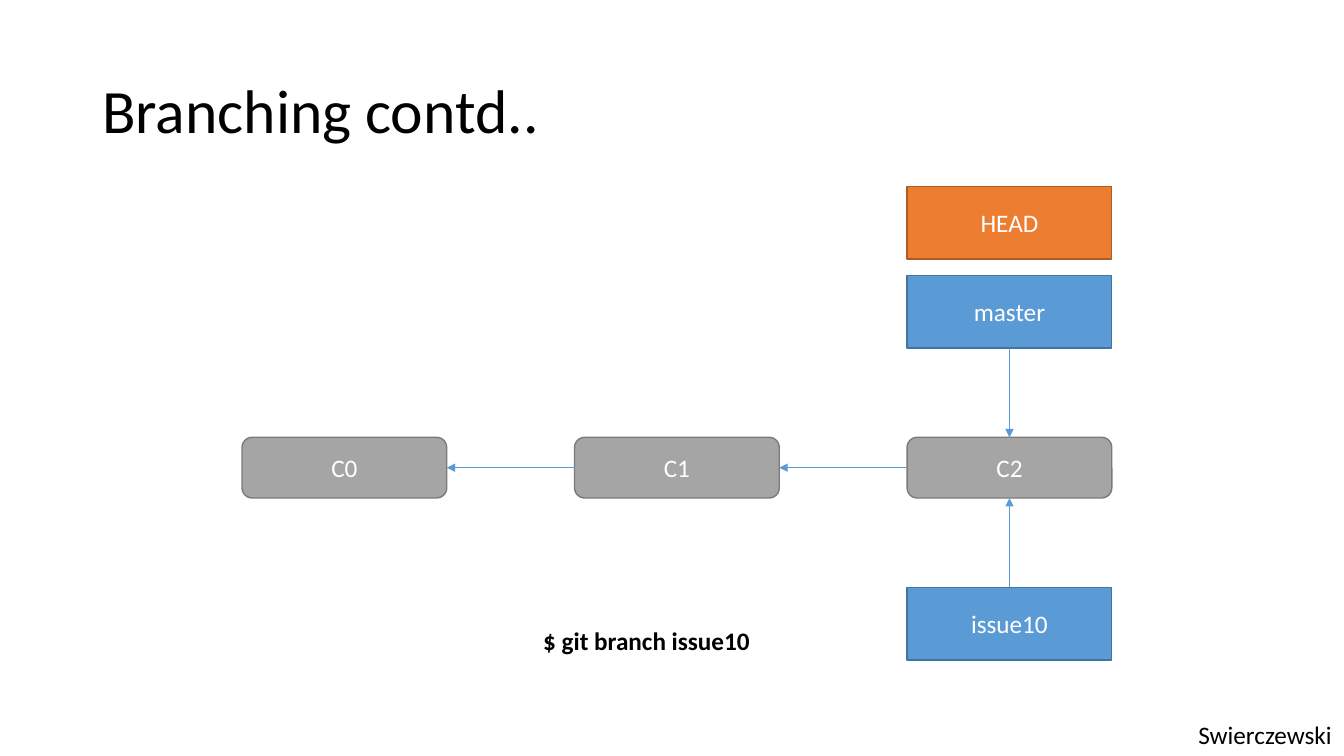
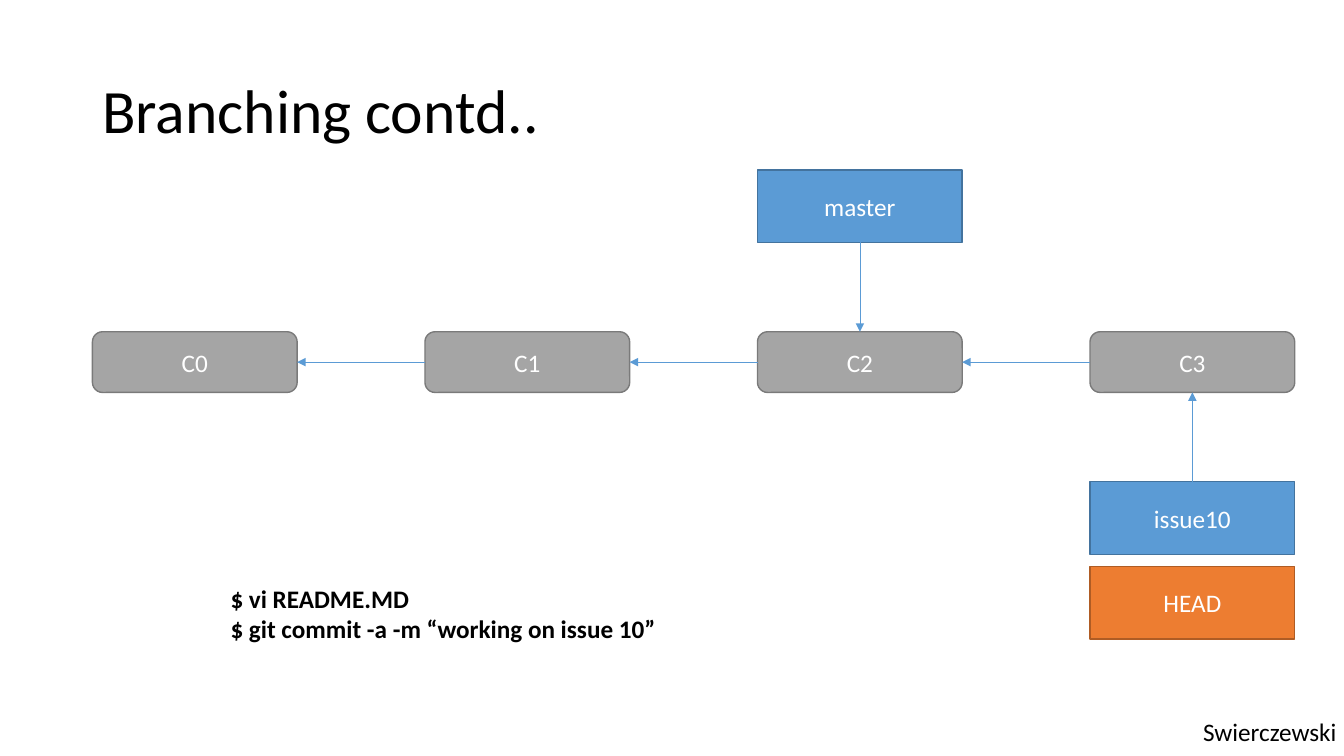
from dataclasses import dataclass

from lxml import etree
from pptx import Presentation
from pptx.dml.color import RGBColor
from pptx.enum.shapes import MSO_CONNECTOR, MSO_SHAPE
from pptx.enum.text import MSO_ANCHOR, MSO_AUTO_SIZE, PP_ALIGN
from pptx.oxml.ns import qn
from pptx.util import Cm, Pt

RECT, ROUND = MSO_SHAPE.RECTANGLE, MSO_SHAPE.ROUNDED_RECTANGLE
STRAIGHT = MSO_CONNECTOR.STRAIGHT
TOP, MIDDLE = MSO_ANCHOR.TOP, MSO_ANCHOR.MIDDLE
LEFT, CENTER = PP_ALIGN.LEFT, PP_ALIGN.CENTER
FIT, FIXED = MSO_AUTO_SIZE.SHAPE_TO_FIT_TEXT, MSO_AUTO_SIZE.NONE


@dataclass(frozen=True)
class Theme:
    font: str = "Calibri"
    title_size: int = 44
    body_size: int = 18
    dark: str = "000000"
    light: str = "FFFFFF"
    arrow: str = "5B9BD5"
    # Fill and outline of each kind of box
    commit: tuple = ("A5A5A5", "7A7A7A")
    branch: tuple = ("5B9BD5", "43739E")
    head: tuple = ("ED7D31", "AF5C24")


T = Theme()

# Diagram grid, in cm
BOX_W, COMMIT_H, REF_H = 5.16, 1.53, 1.83
PITCH = 8.38     # from one commit to the next
REF_GAP = 2.25   # between a branch box and its commit

SLIDES = [
    dict(commits=3, left=6.1, top=11.02, master=2, issue=2, head=(2, 4.7),
         commands=["$ git branch issue10"], commands_at=(13.44, 15.62, 5.77, 1.02),
         author_at=(29.95, 18.01)),
    dict(commits=4, left=2.33, top=8.36, master=2, issue=3, head=(3, 14.27),
         commands=["$ vi README.MD", "$ git commit -a -m “working on issue 10”"],
         commands_at=(5.56, 14.58, 11.33, 1.8), author_at=(30.07, 17.93)),
]


def write(shape, lines, color, size=T.body_size, bold=False, align=LEFT,
          anchor=TOP, wrap=True, auto_size=FIXED):
    tf = shape.text_frame
    tf.word_wrap, tf.auto_size, tf.vertical_anchor = wrap, auto_size, anchor
    tf.text = "\n".join(lines)
    for p in tf.paragraphs:
        p.alignment = align
        p.font.name, p.font.size, p.font.bold = T.font, Pt(size), bold
        p.font.color.rgb = RGBColor.from_string(color)
    return tf


prs = Presentation()
prs.slide_width, prs.slide_height = Cm(33.87), Cm(19.05)

for d in SLIDES:
    s = prs.slides.add_slide(prs.slide_layouts[6])

    # Title
    title = s.shapes.add_textbox(Cm(2.33), Cm(1.01), Cm(29.21), Cm(3.68))
    tf = write(title, ["Branching contd.."], T.dark, T.title_size, anchor=MIDDLE)
    tf.paragraphs[0].line_spacing = 0.9

    # Places of commits, branches and HEAD
    xs = [d["left"] + i * PITCH for i in range(d["commits"])]
    top, bottom = d["top"], d["top"] + COMMIT_H
    master_x, issue_x = xs[d["master"]], xs[d["issue"]]
    head_col, head_y = d["head"]
    boxes = [(f"C{i}", ROUND, x, top, COMMIT_H, T.commit) for i, x in enumerate(xs)]
    boxes += [
        ("master", RECT, master_x, top - REF_GAP - REF_H, REF_H, T.branch),
        ("issue10", RECT, issue_x, bottom + REF_GAP, REF_H, T.branch),
        ("HEAD", RECT, xs[head_col], head_y, REF_H, T.head),
    ]

    # Boxes
    for name, kind, x, y, h, (fill, line) in boxes:
        sp = s.shapes.add_shape(kind, Cm(x), Cm(y), Cm(BOX_W), Cm(h))
        sp.shadow.inherit = False
        sp.fill.solid()
        sp.fill.fore_color.rgb = RGBColor.from_string(fill)
        sp.line.color.rgb = RGBColor.from_string(line)
        sp.line.width = Pt(1)
        write(sp, [name], T.light, align=CENTER, anchor=MIDDLE)

    # Arrows: each commit to its parent, each branch to its commit
    mid_y, half = top + COMMIT_H / 2, BOX_W / 2
    arrows = [(x, mid_y, x - PITCH + BOX_W, mid_y) for x in xs[1:]]
    arrows += [
        (master_x + half, top - REF_GAP, master_x + half, top),
        (issue_x + half, bottom + REF_GAP, issue_x + half, bottom),
    ]
    for ends in arrows:
        cn = s.shapes.add_connector(STRAIGHT, *[Cm(v) for v in ends])
        cn.line.color.rgb = RGBColor.from_string(T.arrow)
        cn.line.width = Pt(0.5)
        etree.SubElement(cn.line._get_or_add_ln(), qn("a:tailEnd"), type="triangle")
        etree.SubElement(cn._element.spPr, qn("a:effectLst"))

    # Commands and author
    for lines, place, bold in [
        (d["commands"], d["commands_at"], True),
        (["Swierczewski"], (*d["author_at"], 3.91, 1.02), False),
    ]:
        tb = s.shapes.add_textbox(*[Cm(v) for v in place])
        write(tb, lines, T.dark, bold=bold, wrap=False, auto_size=FIT)

prs.save("out.pptx")
